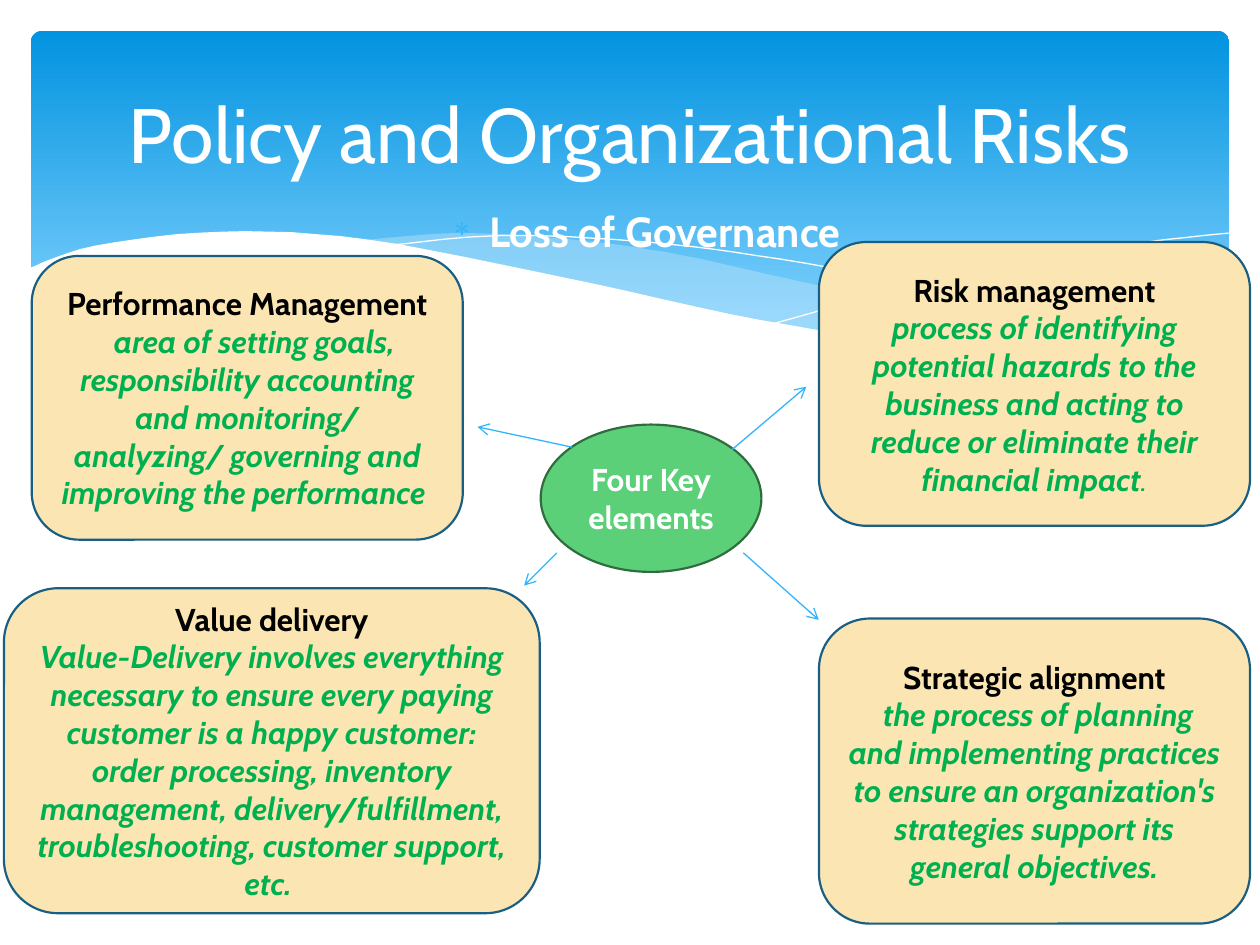
from collections import namedtuple

from lxml.etree import SubElement
from pptx import Presentation
from pptx.dml.color import RGBColor as RGB
from pptx.enum.shapes import MSO_CONNECTOR as Conn, MSO_SHAPE as Shape
from pptx.enum.text import MSO_ANCHOR as Anchor, PP_ALIGN as Align
from pptx.oxml.ns import qn
from pptx.util import Cm, Pt

# Colours
WHITE, BLACK = RGB(0xFF, 0xFF, 0xFF), RGB(0, 0, 0)
SKY_TOP, SKY_END = RGB(0x02, 0x93, 0xE0), RGB(0x83, 0xD3, 0xFE)
MIST, ACCENT = RGB(0xC6, 0xE7, 0xFC), RGB(0x31, 0xB6, 0xFD)
SAND, NAVY = RGB(0xFB, 0xE6, 0xB3), RGB(0x19, 0x5F, 0x84)
GREEN, HUB, HUB_EDGE = RGB(0, 0xB0, 0x50), RGB(0x5B, 0xD0, 0x78), RGB(0x2F, 0x6D, 0x3F)

# Text formats
TITLE = dict(name="Cabin", size=Pt(44), color=WHITE)
SUBTITLE = dict(TITLE, size=Pt(24), bold=True)
HUB_TEXT = dict(SUBTITLE, size=Pt(18))
HEADING = dict(HUB_TEXT, color=BLACK)
BODY = dict(HUB_TEXT, color=GREEN, italic=True)
BODY_LIGHT = dict(BODY, bold=False)

# All lengths are in cm; a box is left, top, width, height
SLIDE_W, SLIDE_H = 25.4, 19.05
HEADER_BOX = (0, 0, SLIDE_W, 8.36)
HUB_BOX = (10.9, 8.56, 4.45, 2.97)
CARD_W, CARD_H, RIGHT_COLUMN = 8.69, 5.72, 16.51

# Knots of the header's curves, measured from its top left corner
MIST_TOP = [(7.26, 4.85), (9.17, 4.7), (11.23, 4.8), (13.41, 5.08), (15.98, 5.64),
            (18.82, 6.27), (22.68, 6.93)]
MIST_BOTTOM = [(22.68, 6.93), (20.78, 7.06), (18.34, 6.96), (15.27, 6.48), (11.4, 5.64),
               (9.19, 5.16), (7.26, 4.85)]
LONG_LINE = [(7.85, 4.95), (9.22, 4.8), (10.57, 4.75), (12.42, 4.83), (14.78, 5.08),
             (17.65, 5.56), (20.19, 6.12), (23.04, 6.91)]
SHORT_LINE = [(15.57, 6.53), (17.65, 5.97), (20.47, 5.33), (22.73, 4.93), (24.77, 4.7)]
WHITE_TOP = [(0.58, 5.41), (1.93, 4.95), (4.5, 4.67), (7.42, 4.83), (11.35, 5.59),
             (15.32, 6.45), (18.44, 6.91), (20.55, 7.04), (22.83, 6.83), (24.82, 6.25)]
WHITE_CORNERS = [(24.82, 8.36), (0.58, 8.36)]

# Each card has an arrow pointing at it, measured from the hub's centre
Card = namedtuple("Card", "box heading body arrow_from arrow_to")
CARDS = [
    Card((0.08, 11.86, 10.8, 6.55), "Value delivery",
         [("Value-Delivery involves everything necessary to ensure every paying customer is "
           "a happy customer: order processing, inventory management, delivery/fulfillment, "
           "troubleshooting, customer support, etc. ", BODY)],
         (-1.9, 1.1), (-2.56, 1.76)),
    Card((0.64, 5.16, CARD_W, CARD_H), "Performance Management",
         [("  ", dict(BODY_LIGHT, color=BLACK)),
          ("area of setting goals, responsibility accounting and monitoring/ analyzing/ "
           "governing and improving the performance ", BODY)],
         (-1.59, -1.03), (-3.5, -1.44)),
    Card((RIGHT_COLUMN, 4.88, CARD_W, CARD_H), "Risk management",
         [("process of identifying potential hazards to the business and acting to reduce "
           "or eliminate their financial impact", BODY), (".", BODY_LIGHT)],
         (1.63, -0.98), (3.13, -2.25)),
    Card((RIGHT_COLUMN, 12.47, CARD_W, 6.15), "Strategic alignment",
         [(" the process of planning and implementing practices to ensure an organization's "
           "strategies support its general objectives.", BODY)],
         (1.86, 1.1), (3.38, 2.45)),
]


def write(sp, paragraphs, anchor=Anchor.MIDDLE):
    """Fill a shape with centred paragraphs, each a list of (text, format)."""
    tf = sp.text_frame
    tf.word_wrap, tf.vertical_anchor = True, anchor
    for i, runs in enumerate(paragraphs):
        p = tf.add_paragraph() if i else tf.paragraphs[0]
        p.alignment = Align.CENTER
        for text, fmt in runs:
            r = p.add_run()
            r.text = text
            for key, value in fmt.items():
                if key == "color":
                    r.font.color.rgb = value
                else:
                    setattr(r.font, key, value)
    return tf


def paint(sp, fill=None, edge=None, width=1.25):
    """Give a shape a flat fill and edge; None leaves that part out."""
    sp.shadow.inherit = False
    if fill is None:
        sp.fill.background()
    else:
        sp.fill.solid()
        sp.fill.fore_color.rgb = fill
    if edge is None:
        sp.line.fill.background()
    else:
        sp.line.color.rgb, sp.line.width = edge, Pt(width)


def smooth(knots, steps=6):
    """Return points on a Catmull-Rom curve that passes through the knots."""
    ends = [knots[0], *knots, knots[-1]]
    points = [knots[0]]
    for a, b, c, d in zip(ends, ends[1:], ends[2:], ends[3:]):
        for t in (n / steps for n in range(1, steps + 1)):
            points.append(tuple(
                (2 * q + (r - p) * t + (2 * p - 5 * q + 4 * r - s) * t ** 2
                 + (3 * q - p - 3 * r + s) * t ** 3) / 2
                for p, q, r, s in zip(a, b, c, d)))
    return points


def add_outline(s, left, top, points, close):
    """Draw a freeform; its points snap to a grid of 0.01 cm."""
    grid = [(round(x * 100), round(y * 100)) for x, y in points]
    builder = s.shapes.build_freeform(*grid[0], scale=Cm(0.01))
    builder.add_line_segments(grid[1:], close=close)
    return builder.convert_to_shape(Cm(left), Cm(top))


def add_header(s, left, top, width, height):
    # Gradient panel
    inset = 0.62
    panel = s.shapes.add_shape(Shape.ROUNDED_RECTANGLE, Cm(left + inset), Cm(top + inset),
                               Cm(width - 2 * inset), Cm(height - 1.5))
    panel.adjustments[0] = 0.034
    paint(panel)
    panel.fill.gradient()
    panel.fill.gradient_angle = 270
    for stop, color, pos in zip(panel.fill.gradient_stops, (SKY_TOP, SKY_END), (0, 0.9)):
        stop.color.rgb, stop.position = color, pos

    # Translucent wave, two hairlines, then the white wave that cuts the panel
    mist = add_outline(s, left, top, smooth(MIST_TOP) + smooth(MIST_BOTTOM), True)
    paint(mist, MIST)
    color = mist._element.spPr.find(".//" + qn("a:srgbClr"))
    SubElement(color, qn("a:alpha"), val="40000")
    for knots in (LONG_LINE, SHORT_LINE):
        paint(add_outline(s, left, top, smooth(knots), False), edge=WHITE, width=0)
    paint(add_outline(s, left, top, smooth(WHITE_TOP) + WHITE_CORNERS, True), WHITE)

    # Bulleted subtitle
    sp = s.shapes.add_textbox(Cm(left + 0.64), Cm(top + 4.01), Cm(width - 0.64), Cm(1.5))
    p = write(sp, [[("Loss of Governance", SUBTITLE)]], Anchor.TOP).paragraphs[0]
    p.space_before = Pt(4.8)
    pPr = p._p.get_or_add_pPr()
    indent = Cm(0.76)
    pPr.set("marL", str(indent))
    pPr.set("indent", str(-indent))
    SubElement(SubElement(pPr, qn("a:buClr")), qn("a:srgbClr"), val=str(ACCENT))
    SubElement(pPr, qn("a:buSzPct"), val="70000")
    SubElement(pPr, qn("a:buChar"), char="∗")

    # Title
    margin = 1.27
    sp = s.shapes.add_textbox(Cm(left + margin), Cm(top + 0.94),
                              Cm(width - 2 * margin), Cm(3.48))
    write(sp, [[("Policy and Organizational Risks", TITLE)]])


def add_card(s, box, heading, body):
    sp = s.shapes.add_shape(Shape.ROUNDED_RECTANGLE, *map(Cm, box))
    paint(sp, SAND, NAVY)
    write(sp, [[(heading, HEADING)], body])


def add_hub(s, box, cards):
    sp = s.shapes.add_shape(Shape.OVAL, *map(Cm, box))
    paint(sp, HUB, HUB_EDGE)
    write(sp, [[("Four Key elements", HUB_TEXT)]])

    # One arrow towards each card
    left, top, width, height = box
    cx, cy = left + width / 2, top + height / 2
    for card in cards:
        ends = [Cm(centre + offset) for point in (card.arrow_from, card.arrow_to)
                for centre, offset in zip((cx, cy), point)]
        arrow = s.shapes.add_connector(Conn.STRAIGHT, *ends)
        arrow.line.color.rgb, arrow.line.width = ACCENT, Pt(0.75)
        SubElement(arrow.line._get_or_add_ln(), qn("a:tailEnd"), type="arrow")
        SubElement(arrow._element.spPr, qn("a:effectLst"))


def main():
    prs = Presentation()
    prs.slide_width, prs.slide_height = Cm(SLIDE_W), Cm(SLIDE_H)
    s = prs.slides.add_slide(prs.slide_layouts[6])
    add_header(s, *HEADER_BOX)
    for card in CARDS:
        add_card(s, card.box, card.heading, card.body)
    add_hub(s, HUB_BOX, CARDS)
    prs.save("out.pptx")


if __name__ == "__main__":
    main()
